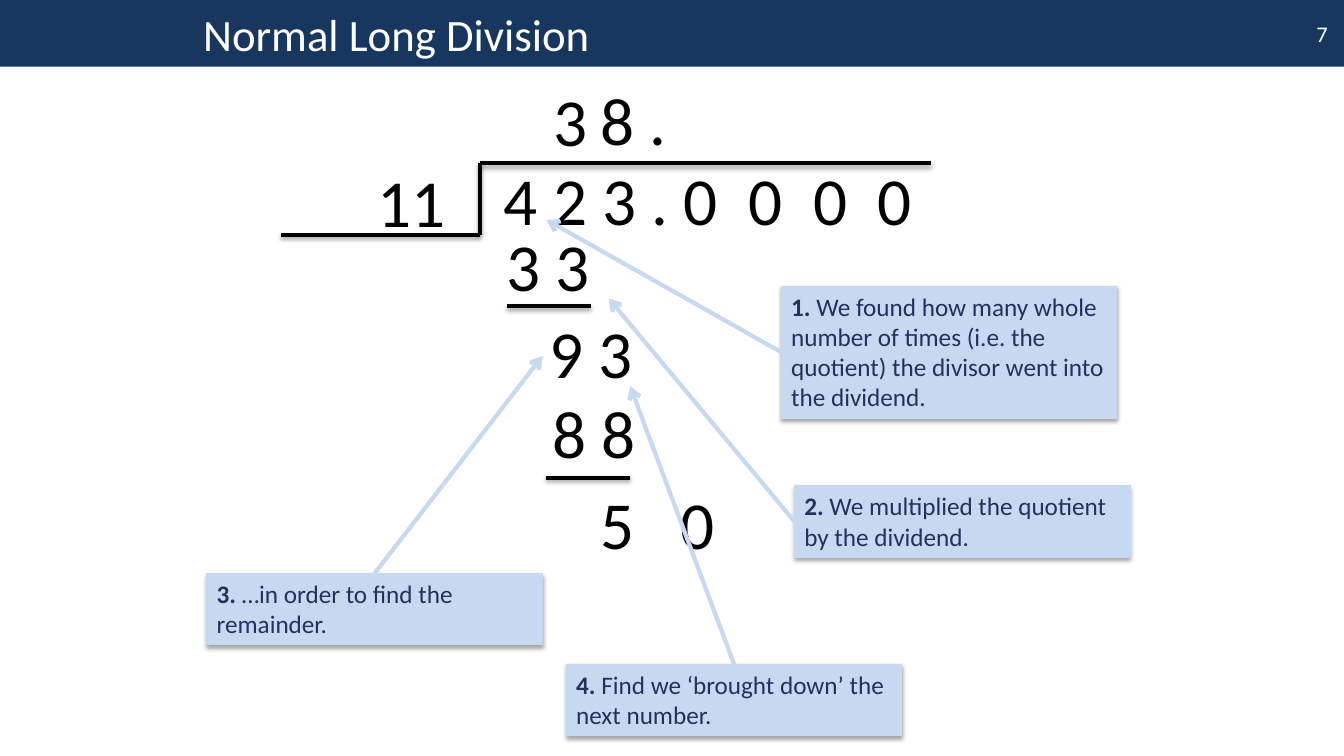
from lxml import etree
from pptx import Presentation
from pptx.dml.color import RGBColor
from pptx.enum.shapes import MSO_CONNECTOR, MSO_SHAPE
from pptx.enum.text import MSO_ANCHOR, PP_ALIGN
from pptx.oxml.ns import qn
from pptx.util import Cm, Pt

NAVY = RGBColor(0x17, 0x37, 0x5E)
PALE_BLUE = RGBColor(0xC6, 0xD9, 0xF1)
INK = RGBColor(0x23, 0x31, 0x5E)
BLACK = RGBColor(0, 0, 0)
WHITE = RGBColor(0xFF, 0xFF, 0xFF)
RECTANGLE = MSO_SHAPE.RECTANGLE
STRAIGHT = MSO_CONNECTOR.STRAIGHT
TOP, MIDDLE = MSO_ANCHOR.TOP, MSO_ANCHOR.MIDDLE
LEFT, RIGHT = PP_ALIGN.LEFT, PP_ALIGN.RIGHT
TOP_SITE, LEFT_SITE = 0, 1

SLIDE_WIDTH, SLIDE_HEIGHT = 33.87, 19.05
HEADER_HEIGHT = 1.68
NUMBER_HEIGHT = 2.31
UNDERLINE_WIDTH = 2.11
CALLOUT_WIDTH = 8.46

BRACKET = [(-5, 1.81), (0, 1.81), (0, 0), (11.38, 0)]
NUMBERS = [
    ("4 2 3 . 0\t0\t0\t0", 0.36, -0.25, 11, [6.16, 7.79, 9.41]),
    ("11", -2.82, -0.2, 2.79, []),
    ("3", 1.6, -2.23, 1.4, []),
    ("8 .", 2.79, -2.26, 3.07, []),
    ("3 3", 0.43, 1.43, 3.38, []),
    ("9 3", 1.51, 3.61, 3.27, []),
    ("8 8", 1.58, 5.62, 3.27, []),
    ("5\t0", 2.79, 7.93, 4.8, [2.01]),
]
UNDERLINES = [(0.69, 3.61), (1.68, 7.93)]
CALLOUTS = [
    ("We found how many whole number of times (i.e. the quotient) "
     "the divisor went into the dividend.",
     (19.69, 7.21, CALLOUT_WIDTH, 3.33), LEFT_SITE, (13.77, 5.54)),
    ("We multiplied the quotient by the dividend.",
     (20.02, 12.24, CALLOUT_WIDTH, 1.8), LEFT_SITE, (15.34, 7.52)),
    ("…in order to find the remainder.",
     (5.21, 14.45, CALLOUT_WIDTH, 1.8), TOP_SITE, (13.67, 8.97)),
    ("Find we ‘brought down’ the next number.",
     (14.27, 16.74, CALLOUT_WIDTH, 1.8), TOP_SITE, (15.88, 9.73)),
]


def set_effects(shape, shadow):
    """Give a shape a soft drop shadow, or an empty effect list."""
    effects = etree.SubElement(shape._element.spPr, qn("a:effectLst"))
    if shadow:
        outer = etree.SubElement(
            effects, qn("a:outerShdw"), blurRad=str(Pt(3.1)),
            dist=str(Pt(1.8)), dir="5400000", rotWithShape="0")
        color = etree.SubElement(outer, qn("a:srgbClr"), val="000000")
        etree.SubElement(color, qn("a:alpha"), val="35000")


def add_line(slide, start, end, color, shadow=True):
    """Draw a thick straight line between two points."""
    line = slide.shapes.add_connector(
        STRAIGHT, *(Cm(value) for value in (*start, *end)))
    line.line.color.rgb = color
    line.line.width = Pt(3)
    set_effects(line, shadow)
    return line


def add_rectangle(slide, box, color):
    """Draw a filled rectangle with a thin line of the same colour."""
    shape = slide.shapes.add_shape(RECTANGLE, *(Cm(value) for value in box))
    shape.fill.solid()
    shape.fill.fore_color.rgb = color
    shape.line.color.rgb = color
    shape.line.width = Pt(0.75)
    return shape


def write_text(shape, runs, size, color, align=LEFT, tabs=(), **frame_format):
    """Fill a shape with one paragraph of (text, bold) runs."""
    frame = shape.text_frame
    settings = {"word_wrap": True, "vertical_anchor": TOP, **frame_format}
    for name, value in settings.items():
        setattr(frame, name, value)
    paragraph = frame.paragraphs[0]
    paragraph.alignment = align
    if tabs:
        properties = paragraph._p.get_or_add_pPr()
        tab_list = etree.SubElement(properties, qn("a:tabLst"))
        for position in tabs:
            etree.SubElement(tab_list, qn("a:tab"), pos=str(Cm(position)), algn="l")
    for text, bold in runs:
        run = paragraph.add_run()
        run.text = text
        font_format = {"name": "Calibri", "size": Pt(size), "bold": bold}
        for name, value in font_format.items():
            setattr(run.font, name, value)
        run.font.color.rgb = color


def add_header(slide, box, title, number):
    """Build the navy bar with the slide title and number."""
    left, top, width, height = box
    bar = add_rectangle(slide, box, NAVY)
    bar.line.fill.background()
    bar.shadow.inherit = False
    write_text(bar, [(number, False)], 16, WHITE, RIGHT, vertical_anchor=MIDDLE,
               margin_top=0, margin_bottom=0, margin_right=Cm(0.41))
    title_box = slide.shapes.add_textbox(
        Cm(left + 4.23), Cm(top), Cm(width - 8.47), Cm(height))
    write_text(title_box, [(title, False)], 32, WHITE,
               vertical_anchor=MIDDLE, margin_left=Cm(0.89))


def add_division(slide, corner):
    """Lay out the long division around the corner of its bracket."""
    left, top = corner
    points = [(left + x, top + y) for x, y in BRACKET]
    for start, end in zip(points, points[1:]):
        add_line(slide, start, end, BLACK)
    for text, x, y, width, tabs in NUMBERS:
        number = slide.shapes.add_textbox(
            Cm(left + x), Cm(top + y), Cm(width), Cm(NUMBER_HEIGHT))
        write_text(number, [(text, False)], 48, BLACK, tabs=tabs)
    for x, y in UNDERLINES:
        start = (left + x, top + y)
        add_line(slide, start, (start[0] + UNDERLINE_WIDTH, start[1]), BLACK)


def add_callout(slide, box, step, text, site, target):
    """Add a numbered note with an arrow to the step it explains."""
    note = add_rectangle(slide, box, PALE_BLUE)
    set_effects(note, True)
    write_text(note, [(f"{step}. ", True), (text, False)], 18, INK)
    arrow = add_line(slide, box[:2], target, PALE_BLUE, shadow=False)
    arrow.begin_connect(note, site)
    outline = arrow._element.spPr.find(qn("a:ln"))
    etree.SubElement(outline, qn("a:tailEnd"), type="arrow")


def main():
    """Build and save the slide."""
    presentation = Presentation()
    presentation.slide_width = Cm(SLIDE_WIDTH)
    presentation.slide_height = Cm(SLIDE_HEIGHT)
    slide = presentation.slides.add_slide(presentation.slide_layouts[6])
    add_header(slide, (0, 0, SLIDE_WIDTH, HEADER_HEIGHT), "Normal Long Division", "7")
    add_division(slide, (12.09, 4.11))
    for step, (text, box, site, target) in enumerate(CALLOUTS, 1):
        add_callout(slide, box, step, text, site, target)
    presentation.save("out.pptx")


if __name__ == "__main__":
    main()
